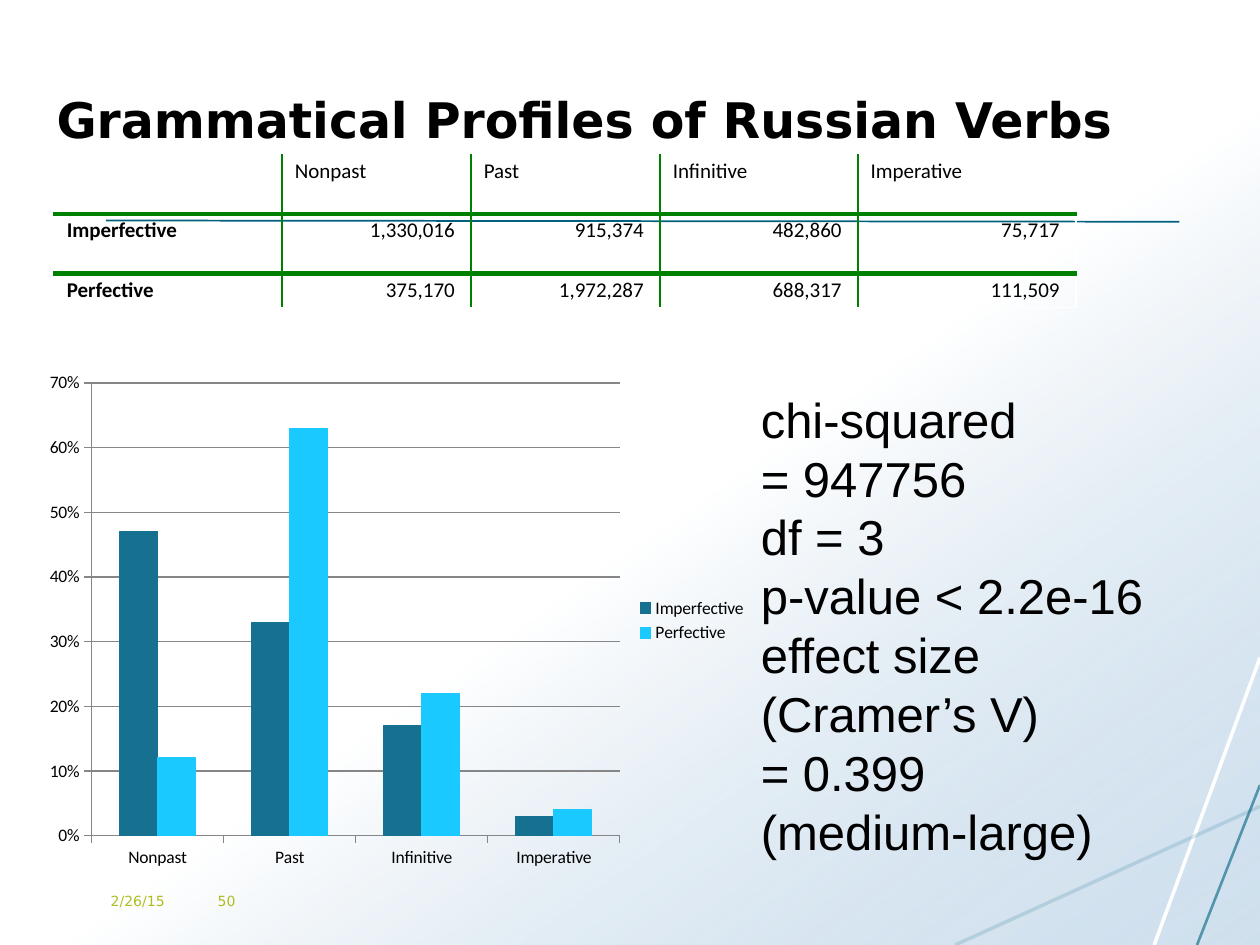
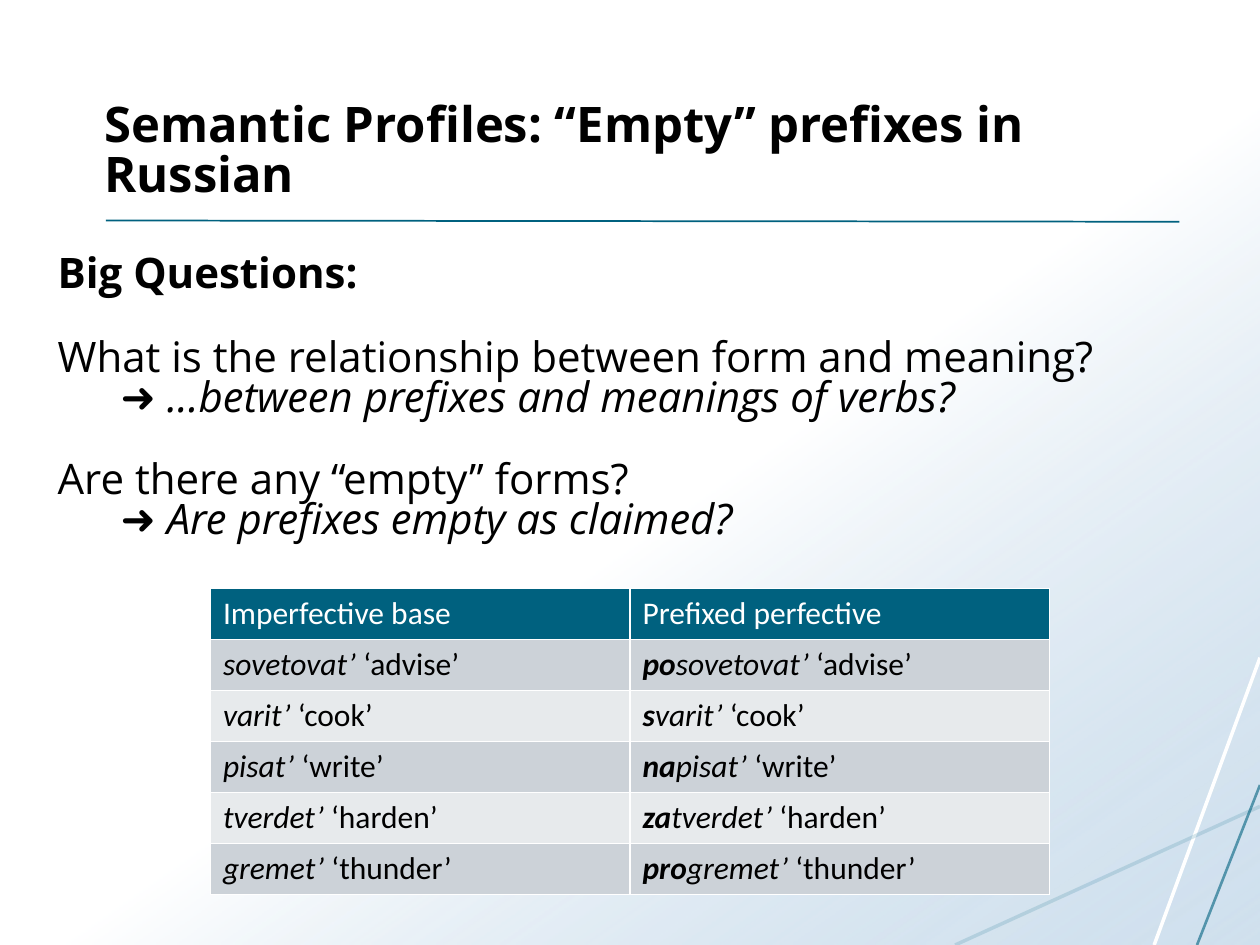
from lxml import etree
from pptx import Presentation
from pptx import util as u
from pptx.chart import data
from pptx.dml import color
from pptx.enum import chart as ch, shapes, text
from pptx.oxml import ns

deck = Presentation()
deck.slide_width, deck.slide_height = u.Inches(10), u.Inches(7.5)
grid = deck.slide_width / 100
BLACK, WHITE, TEAL, BLUE, SKY = "000000", "FFFFFF", "00617F", "15718F", "19C9FF"
GREEN, LIME, GREY = "008000", "AFBD22", "868686"
BANDS = ["E7EAEC", "CCD2D8"]


def tint(target, code, opacity=100):
    target.rgb = color.RGBColor.from_string(code)
    if opacity < 100:
        alpha = etree.SubElement(target._xFill[0], ns.qn("a:alpha"))
        alpha.set("val", str(opacity * 1000))


def write(paragraph, runs, font, size, code=BLACK):
    for words, style in runs:
        run = paragraph.add_run()
        run.text = words
        look = {"name": font, "size": u.Pt(size), "bold": "b" in style, "italic": "i" in style}
        for key, value in look.items():
            setattr(run.font, key, value)
        tint(run.font.color, code)


rays = [
    (100, 52.2, 91.6, 75, WHITE, 2, 100),
    (100, 64, 75.8, 75, BLUE, 2, 16),
    (100, 62.3, 95, 75, TEAL, 1.5, 60),
    (8.4, 17.5, 93.6, 17.6, TEAL, 1, 100),
]
slides = []
for number in range(2):
    slide = deck.slides.add_slide(deck.slide_layouts[6])
    slides.append(slide)
    backdrop = slide.shapes.add_shape(
        shapes.MSO_SHAPE.RECTANGLE, 0, 0, deck.slide_width, deck.slide_height)
    backdrop.shadow.inherit = False
    backdrop.line.fill.background()
    backdrop.fill.gradient()
    backdrop.fill.gradient_angle = 360 - 55
    for stop, (place, code, opacity) in zip(
            backdrop.fill.gradient_stops, [(0.54, WHITE, 100), (1, "A9C7E0", 54)]):
        stop.position = place
        tint(stop.color, code, opacity)
    for *ends, code, width, opacity in rays:
        ray = slide.shapes.add_connector(
            shapes.MSO_CONNECTOR.STRAIGHT, *[round(end * grid) for end in ends])
        ray.line.width = u.Pt(width)
        tint(ray.line.color, code, opacity)
        etree.SubElement(ray._element.spPr, ns.qn("a:effectLst"))

profiles, prefixes = slides
BOTTOM, MIDDLE, TOP = text.MSO_ANCHOR.BOTTOM, text.MSO_ANCHOR.MIDDLE, text.MSO_ANCHOR.TOP
statistics = ["chi-squared", "= 947756", "df = 3", "p-value < 2.2e-16",
              "effect size", "(Cramer’s V)", "= 0.399", "(medium-large)"]
questions = [
    ([("Big Questions:", "b")], 0, 1, 0),
    ([("What is the relationship between form and meaning?", "")], 0, 0.7, 27),
    ([("➜ ...between prefixes and meanings of verbs?", "i")], 5, 0.7, 2.5),
    ([("Are there any “empty” forms?", "")], 0, 0.7, 27),
    ([("➜ Are prefixes empty as claimed?", "i")], 5, 0.7, 2.5),
]
passages = [
    (profiles, (3.5, 3.6, 89.8, 8.7), BOTTOM, True, "DejaVu Sans", 28, BLACK,
     [([("Grammatical Profiles of Russian Verbs", "b")], 0, 1, 0)]),
    (profiles, (7.8, 69.5, 7.1, 4), MIDDLE, True, "DejaVu Sans", 8, LIME,
     [([("2/26/15", "")], 0, 1, 0)]),
    (profiles, (16.3, 69.5, 31.7, 4), MIDDLE, True, "DejaVu Sans", 8, LIME,
     [([("50", "")], 0, 1, 0)]),
    (profiles, (59.4, 30.4, 38, 38.7), TOP, False, "Arial", 28, BLACK,
     [([(line, "")], 0, 1, 0) for line in statistics]),
    (prefixes, (7.3, 3.3, 89.9, 13.3), BOTTOM, True, "Open Sans", 28, BLACK,
     [([("Semantic Profiles: “Empty” prefixes in Russian", "b")], 0, 0.86, 0)]),
    (prefixes, (3.6, 19.1, 90, 47.8), TOP, True, "Open Sans", 24, BLACK, questions),
]
for slide, place, anchor, wrap, font, size, code, lines in passages:
    frame = slide.shapes.add_textbox(*[round(part * grid) for part in place]).text_frame
    frame.word_wrap, frame.vertical_anchor = wrap, anchor
    for index, (runs, indent, spacing, before) in enumerate(lines):
        paragraph = frame.add_paragraph() if index else frame.paragraphs[0]
        paragraph.line_spacing = spacing
        paragraph.space_before = u.Pt(before)
        if indent:
            paragraph._p.get_or_add_pPr().set("marL", str(round(indent * grid)))
        write(paragraph, runs, font, size, code)

forms = ["Nonpast", "Past", "Infinitive", "Imperative"]
counts = {
    "Imperfective": [1330016, 915374, 482860, 75717],
    "Perfective": [375170, 1972287, 688317, 111509],
}
verbs = [("po", "sovetovat’", "advise"), ("s", "varit’", "cook"), ("na", "pisat’", "write"),
         ("za", "tverdet’", "harden"), ("pro", "gremet’", "thunder")]

count_rows = [[[]] + [[(form, "")] for form in forms]]
for aspect, numbers in counts.items():
    count_rows.append([[(aspect, "b")]] + [[(f"{number:,}", "")] for number in numbers])
verb_rows = [[[("Imperfective base", "")], [("Prefixed perfective", "")]]]
for prefix, base, meaning in verbs:
    stem = [(base, "i"), (f" ‘{meaning}’", "")]
    verb_rows.append([stem, [(prefix, "bi")] + stem])

tables = [
    (profiles, (4.3, 12.3), [18.1, 15, 15, 15.7, 17.3], [4.7, 4.7, 2.7], count_rows,
     12, 0.03, (GREEN, 1), (GREEN, 3), False),
    (prefixes, (16.7, 46.7), [33.3] * 2, [4.05] * 6, verb_rows,
     18, 0.05, (WHITE, 1), (WHITE, 1), True),
]
for slide, corner, widths, heights, rows, size, inset, upright, level, banded in tables:
    place = [*corner, sum(widths), sum(heights)]
    table = slide.shapes.add_table(
        len(rows), len(widths), *[round(part * grid) for part in place]).table
    table.first_row = table.horz_banding = False
    for column, width in zip(table.columns, widths):
        column.width = round(width * grid)
    for r, (row, height) in enumerate(zip(rows, heights)):
        table.rows[r].height = round(height * grid)
        for c, runs in enumerate(row):
            cell = table.cell(r, c)
            figure = not banded and r and c
            margins = {"margin_left": 0.1, "margin_right": 0.13 if figure else 0.1,
                       "margin_top": inset, "margin_bottom": inset}
            for key, value in margins.items():
                setattr(cell, key, u.Inches(value))
            paragraph = cell.text_frame.paragraphs[0]
            if figure:
                paragraph.alignment = text.PP_ALIGN.RIGHT
            write(paragraph, runs, "Calibri", size, WHITE if banded and r == 0 else BLACK)
            outer = (WHITE, 1)
            edges = {"lnL": upright if c else outer,
                     "lnR": upright if c < len(widths) - 1 else outer,
                     "lnT": level if r else outer,
                     "lnB": level if r < len(rows) - 1 else outer}
            for side, (code, weight) in edges.items():
                edge = etree.SubElement(cell._tc.get_or_add_tcPr(), ns.qn(f"a:{side}"))
                edge.set("w", str(u.Pt(weight)))
                ink = etree.SubElement(edge, ns.qn("a:solidFill"))
                etree.SubElement(ink, ns.qn("a:srgbClr")).set("val", code)
            if banded:
                cell.fill.solid()
                tint(cell.fill.fore_color, BANDS[r % 2] if r else TEAL)
            else:
                cell.fill.background()

shares = data.CategoryChartData(number_format="0%")
shares.categories = forms
for aspect, numbers in counts.items():
    shares.add_series(aspect, [round(number / sum(numbers), 2) for number in numbers])
chart = profiles.shapes.add_chart(
    ch.XL_CHART_TYPE.COLUMN_CLUSTERED,
    *[round(part * grid) for part in (2.8, 28.8, 57.5, 40.9)], shares).chart
chart.has_title = False
chart.font.name, chart.font.size = "Calibri", u.Pt(10)
tint(chart.font.color, BLACK)
chart.has_legend = True
chart.legend.position = ch.XL_LEGEND_POSITION.RIGHT
chart.legend.include_in_layout = False
percent = chart.value_axis
for key, value in {"minimum_scale": 0, "maximum_scale": 0.7, "major_unit": 0.1,
                   "has_major_gridlines": True}.items():
    setattr(percent, key, value)
percent.tick_labels.number_format = "0%"
percent.tick_labels.number_format_is_linked = False
for axis in (percent, chart.category_axis):
    axis.major_tick_mark = ch.XL_TICK_MARK.OUTSIDE
for rule in (percent.format.line, percent.major_gridlines.format.line,
             chart.category_axis.format.line):
    rule.width = u.Pt(0.75)
    tint(rule.color, GREY)
plot = chart.plots[0]
plot.gap_width, plot.overlap, plot.vary_by_categories = 150, 0, False
for series, code in zip(plot.series, (BLUE, SKY)):
    series.format.fill.solid()
    tint(series.format.fill.fore_color, code)
    series.format.line.width = u.Pt(0.75)
    tint(series.format.line.color, code)

deck.save("out.pptx")
